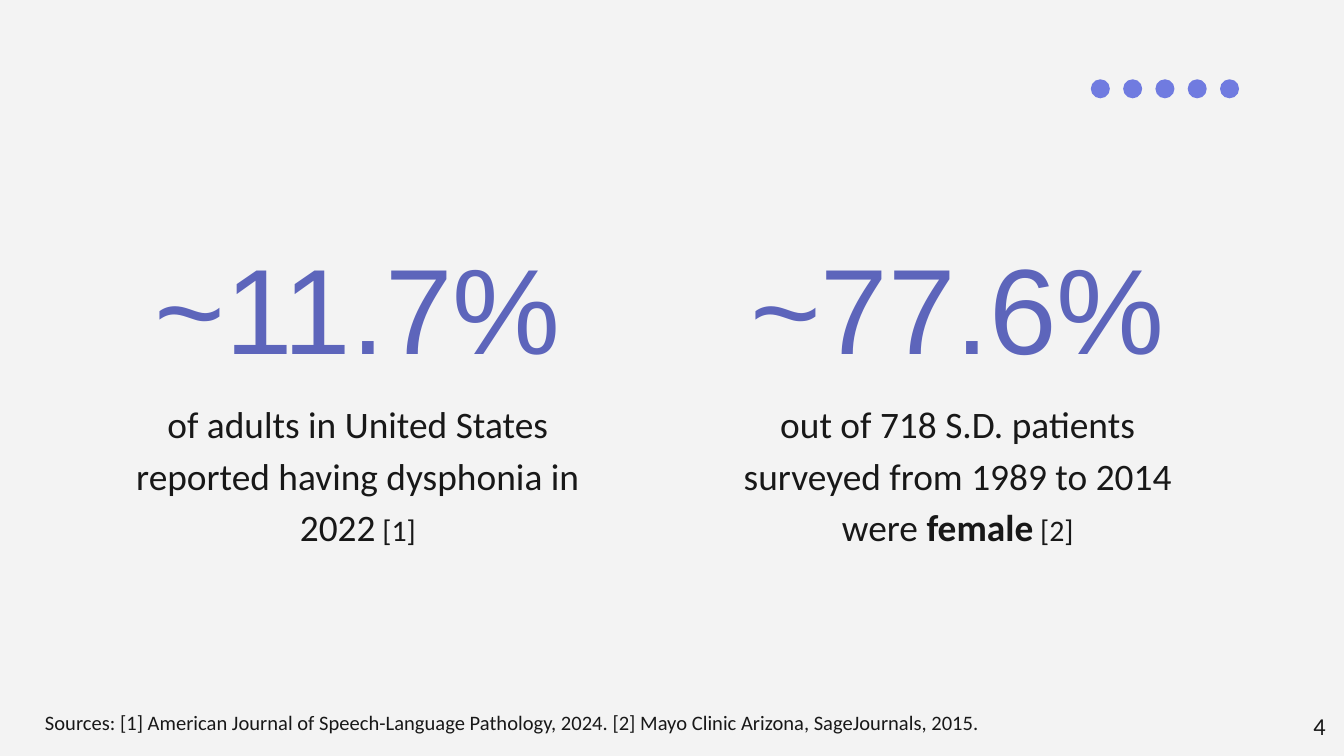
import pptx
import pptx.dml.color
import pptx.enum.shapes
import pptx.enum.text
import pptx.util

Pt = pptx.util.Pt
ALIGN = pptx.enum.text.PP_ALIGN
ANCHOR = pptx.enum.text.MSO_ANCHOR

BACKGROUND, INK, ACCENT, DOT = "F3F3F3", "181818", "5D65BB", "707BE0"

# Column centre, figure, caption runs as (text, size, bold)
STATISTICS = [
    (191.7, "~11.7%", [
        ("of adults in United States reported having dysphonia in 2022", 20, False),
        (" [1]", 16, False),
    ]),
    (513.1, "~77.6%", [
        ("out of 718 S.D. patients surveyed from 1989 to 2014 were ", 20, False),
        ("female", 20, True),
        (" [2]", 16, False),
    ]),
]
SOURCES = ("Sources: [1] American Journal of Speech-Language Pathology, 2024. "
           "[2] Mayo Clinic Arizona, SageJournals, 2015.")
PAGE_NUMBER = "4"

FIGURE_WIDTH, FIGURE_TOP, FIGURE_HEIGHT = 301, 149.8, 60.5
CAPTION_WIDTH, CAPTION_HEIGHT = 278, 85
FOOTER_TOP, FOOTER_HEIGHT = 373.7, 31
DOT_COUNT, DOT_LEFT, DOT_TOP, DOT_SIZE, DOT_STEP = 5, 584.4, 42.5, 10.2, 17.3


def color(value):
    return pptx.dml.color.RGBColor.from_string(value)


def add_text(slide, text, left, top, width, height, *, size=20, font="Calibri",
             ink=INK, align=ALIGN.LEFT, anchor=ANCHOR.TOP, line_spacing=None):
    """Add a text box; text is a string or a list of (text, size, bold) runs."""
    box = slide.shapes.add_textbox(Pt(left), Pt(top), Pt(width), Pt(height))
    frame = box.text_frame
    frame.word_wrap = True
    frame.vertical_anchor = anchor
    frame.margin_left = frame.margin_right = Pt(7.2)
    frame.margin_top = frame.margin_bottom = Pt(7.2)
    paragraph = frame.paragraphs[0]
    paragraph.alignment = align
    paragraph.line_spacing = line_spacing
    runs = [(text, size, False)] if isinstance(text, str) else text
    for words, run_size, bold in runs:
        run = paragraph.add_run()
        run.text = words
        run.font.name = font
        run.font.size = Pt(run_size)
        run.font.bold = bold
        run.font.color.rgb = color(ink)


def add_dots(slide):
    group = slide.shapes.add_group_shape()
    for index in range(DOT_COUNT):
        dot = group.shapes.add_shape(
            pptx.enum.shapes.MSO_SHAPE.OVAL, Pt(DOT_LEFT + index * DOT_STEP),
            Pt(DOT_TOP), Pt(DOT_SIZE), Pt(DOT_SIZE))
        dot.shadow.inherit = False
        dot.fill.solid()
        dot.fill.fore_color.rgb = color(DOT)
        dot.line.fill.background()


def main():
    presentation = pptx.Presentation()
    presentation.slide_width, presentation.slide_height = Pt(720), Pt(405)
    slide = presentation.slides.add_slide(presentation.slide_layouts[6])
    slide.background.fill.solid()
    slide.background.fill.fore_color.rgb = color(BACKGROUND)

    for center, figure, caption in STATISTICS:
        add_text(slide, figure, center - FIGURE_WIDTH / 2, FIGURE_TOP,
                 FIGURE_WIDTH, FIGURE_HEIGHT, size=65, font="Arial", ink=ACCENT,
                 align=ALIGN.CENTER, anchor=ANCHOR.BOTTOM)
        add_text(slide, caption, center - CAPTION_WIDTH / 2,
                 FIGURE_TOP + FIGURE_HEIGHT, CAPTION_WIDTH, CAPTION_HEIGHT,
                 align=ALIGN.CENTER, anchor=ANCHOR.MIDDLE, line_spacing=1.15)
    add_dots(slide)
    add_text(slide, SOURCES, 17, FOOTER_TOP, 623.5, FOOTER_HEIGHT, size=11)
    add_text(slide, PAGE_NUMBER, 674, FOOTER_TOP, 43.2, FOOTER_HEIGHT, size=13,
             align=ALIGN.RIGHT)
    presentation.save("out.pptx")


if __name__ == "__main__":
    main()
